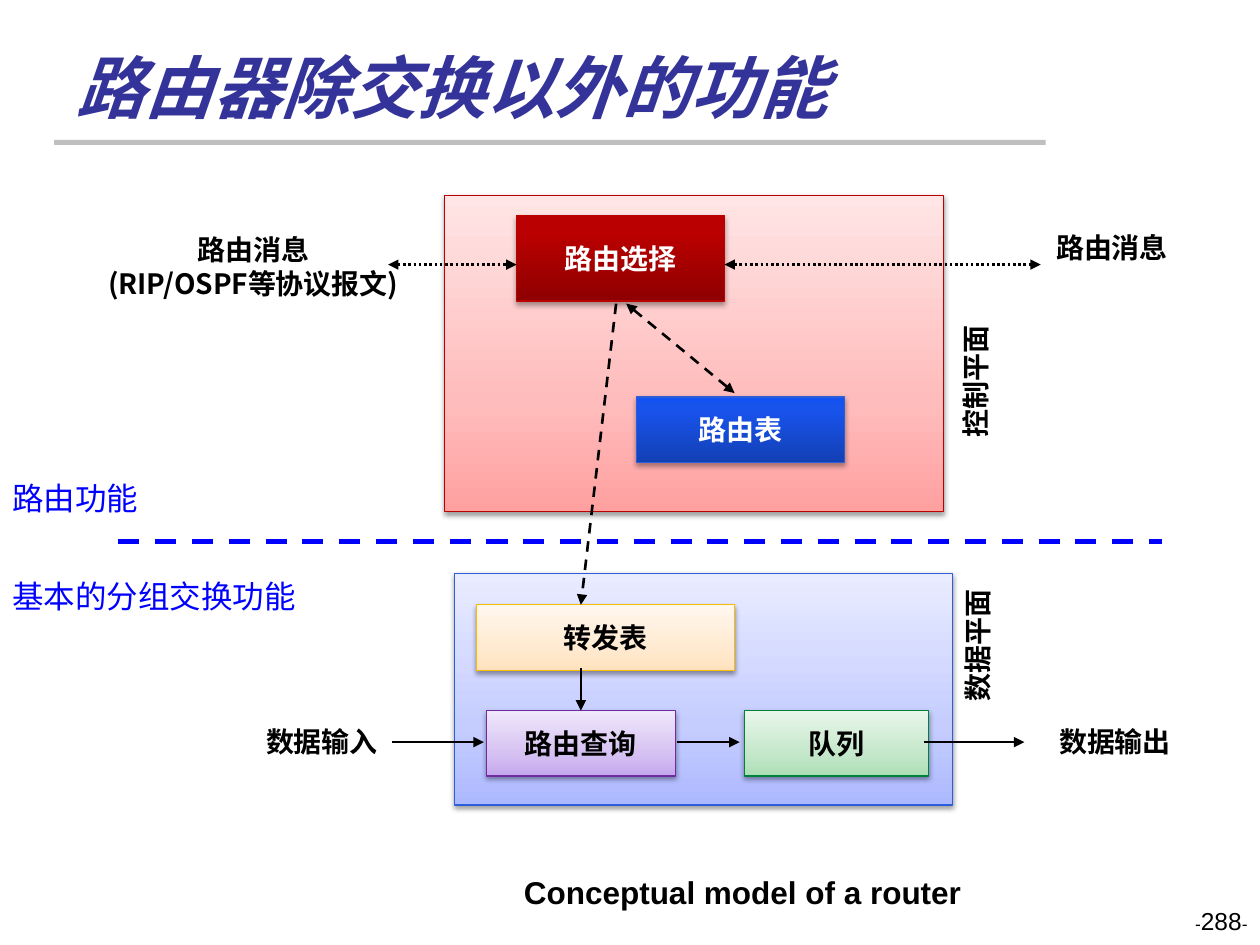
from dataclasses import dataclass

from pptx import Presentation
from pptx.dml.color import RGBColor
from pptx.enum.dml import MSO_LINE
from pptx.enum.shapes import MSO_CONNECTOR, MSO_SHAPE
from pptx.enum.text import MSO_ANCHOR, PP_ALIGN
from pptx.oxml import parse_xml
from pptx.oxml.ns import nsdecls
from pptx.oxml.xmlchemy import OxmlElement
from pptx.util import Inches, Pt

COLUMNS, ROWS = 100, 75
CELL = Inches(10) / COLUMNS
CJK_FONT = "Noto Sans CJK SC"

BLACK = RGBColor(0x00, 0x00, 0x00)
WHITE = RGBColor(0xFF, 0xFF, 0xFF)
GRAY = RGBColor(0xBF, 0xBF, 0xBF)
NAVY = RGBColor(0x33, 0x33, 0x99)
BLUE = RGBColor(0x00, 0x00, 0xFF)
RED_LINE = RGBColor(0xBC, 0x00, 0x00)
BLUE_LINE = RGBColor(0x2D, 0x5D, 0xD9)
GREEN_LINE = RGBColor(0x00, 0x81, 0x3B)
PURPLE_LINE = RGBColor(0x6E, 0x2C, 0x9F)
GOLD_LINE = RGBColor(0xF9, 0xBC, 0x00)


def shades(*codes):
    return [RGBColor.from_string(code) for code in codes]


PINK = shades("FFA0A0", "FFBCBC", "FFE5E5")
LAVENDER = shades("ADB9FF", "C5CDFF", "E9ECFF")
GREEN = shades("ACDFB4", "C5E7CB", "E9F7EB")
PURPLE = shades("C5A6EE", "D6C2F2", "EFE7FB")
ORANGE = shades("FFE2BD", "FFEAD1", "FFF7EE")
DARK_RED = shades("8F0000", "BA0000", "BB0000")
DARK_BLUE = shades("1340B5", "1853EC", "1452F1")


@dataclass
class Box:
    left: float
    top: float
    width: float
    height: float

    def inside(self, column, row, width, height):
        return Box(self.left + column, self.top + row, width, height)

    def point(self, column, row):
        return self.left + column, self.top + row

    def lengths(self):
        return [grid(side) for side in (self.left, self.top, self.width, self.height)]


def grid(cells):
    return round(cells * CELL)


def style_span(span, size, color, bold=False, font=CJK_FONT):
    span.font.size = Pt(size)
    span.font.bold = bold
    span.font.name = font
    span.font.color.rgb = color
    if font != "Arial":
        east_asian = OxmlElement("a:ea")
        east_asian.set("typeface", CJK_FONT)
        span.font._element.find("{*}latin").addnext(east_asian)


def add_label(page, box, lines, size=16, color=BLACK, bold=True,
              align=PP_ALIGN.CENTER, font=CJK_FONT, wrap=False):
    label = page.shapes.add_textbox(*box.lengths())
    frame = label.text_frame
    frame.word_wrap = wrap
    frame.text = lines
    for para in frame.paragraphs:
        para.alignment = align
        for span in para.runs:
            style_span(span, size, color, bold, font)
    return label


def add_block(page, box, colors, outline, text="", text_color=BLACK):
    block = page.shapes.add_shape(MSO_SHAPE.RECTANGLE, *box.lengths())
    strong = text_color == WHITE
    block.fill.gradient()
    block.line.color.rgb = outline
    block.line.width = Pt(0.75)
    places = (0, 80, 100) if strong else (0, 35, 100)
    stops = "".join(
        f'<a:gs pos="{place * 1000}"><a:srgbClr val="{color}"/></a:gs>'
        for place, color in zip(places, colors))
    properties = block._element.spPr
    gradient = properties.find("{*}gradFill")
    properties.replace(gradient, parse_xml(
        f'<a:gradFill {nsdecls("a")} rotWithShape="1"><a:gsLst>{stops}</a:gsLst>'
        '<a:lin ang="16200000" scaled="0"/></a:gradFill>'))
    distance, alpha = (1.8, 35) if strong else (1.6, 38)
    properties.append(parse_xml(
        f'<a:effectLst {nsdecls("a")}><a:outerShdw blurRad="{Pt(3.1)}" '
        f'dist="{Pt(distance)}" dir="5400000" rotWithShape="0"><a:srgbClr val="000000">'
        f'<a:alpha val="{alpha * 1000}"/></a:srgbClr></a:outerShdw></a:effectLst>'))
    if text:
        frame = block.text_frame
        frame.word_wrap = False
        frame.vertical_anchor = MSO_ANCHOR.MIDDLE
        frame.text = text
        frame.paragraphs[0].alignment = PP_ALIGN.CENTER
        style_span(frame.paragraphs[0].runs[0], 16, text_color, True)
    return block


def add_line(page, start, end, color=BLACK, width=1.5, dash=None, arrows=("tailEnd",)):
    line = page.shapes.add_connector(
        MSO_CONNECTOR.STRAIGHT, *(grid(cells) for cells in (*start, *end)))
    line.line.color.rgb = color
    line.line.width = Pt(width)
    if dash:
        line.line.dash_style = dash
    for arrow in arrows:
        tip = OxmlElement(f"a:{arrow}")
        tip.set("type", "triangle")
        line.line._ln.append(tip)
    line._element.spPr.append(OxmlElement("a:effectLst"))


def add_heading(page, box):
    rule = page.shapes.add_shape(
        MSO_SHAPE.RECTANGLE, *box.inside(-0.8, 8.3, 78.7, 0.4).lengths())
    rule.shadow.inherit = False
    rule.fill.solid()
    rule.fill.fore_color.rgb = GRAY
    rule.line.fill.background()
    title = add_label(page, box, "路由器除交换以外的功能", 39, NAVY,
                      align=PP_ALIGN.LEFT, font="Calibri", wrap=True)
    title.text_frame.vertical_anchor = MSO_ANCHOR.BOTTOM
    title.text_frame.paragraphs[0].runs[0].font.italic = True


def add_divider(page, box):
    add_line(page, box.point(9.4, 5.5), box.point(92.2, 5.5), BLUE, 3, MSO_LINE.DASH, ())
    for row, width, text in ((0, 12.8, "路由功能"), (7.8, 24.7, "基本的分组交换功能")):
        add_label(page, box.inside(0, row, width, 4), text, 18, BLUE, False, PP_ALIGN.LEFT)


def add_control_plane(page, box):
    add_block(page, box, PINK, RED_LINE)
    add_block(page, box.inside(5.7, 1.6, 16.5, 6.8), DARK_RED, RED_LINE, "路由选择", WHITE)
    add_block(page, box.inside(15.2, 16, 16.5, 5.2), DARK_BLUE, BLUE_LINE, "路由表", WHITE)
    both = ("headEnd", "tailEnd")
    for start, end in ((-4.5, 5.7), (22.2, 47.3)):
        add_line(page, box.point(start, 5.5), box.point(end, 5.5),
                 dash=MSO_LINE.ROUND_DOT, arrows=both)
    add_line(page, box.point(14.4, 8.6), box.point(23, 15.7), dash=MSO_LINE.DASH, arrows=both)
    add_label(page, box.inside(-27.7, 2.5, 25, 6.4), "路由消息\n(RIP/OSPF等协议报文)", wrap=True)
    add_label(page, box.inside(47.4, 2.3, 11.1, 3.7), "路由消息")
    add_label(page, box.inside(36.6, 12.9, 11.1, 3.7), "控制平面").rotation = 270


def add_data_plane(page, box):
    add_block(page, box, LAVENDER, BLUE_LINE)
    add_block(page, box.inside(1.7, 2.5, 20.5, 5.2), ORANGE, GOLD_LINE, "转发表")
    add_block(page, box.inside(2.5, 10.9, 15, 5.2), PURPLE, PURPLE_LINE, "路由查询")
    add_block(page, box.inside(23, 10.9, 14.6, 5.2), GREEN, GREEN_LINE, "队列")
    for start, end in ((-5, 2.3), (17.6, 22.6), (37.2, 45.2)):
        add_line(page, box.point(start, 13.4), box.point(end, 13.4))
    add_line(page, box.point(10, 7.5), box.point(10, 10.9), width=1)
    add_label(page, box.inside(-16.1, 11.5, 11.1, 3.7), "数据输入")
    add_label(page, box.inside(45.7, 11.5, 13.4, 3.7), "数据输出")
    add_label(page, box.inside(35.9, 3.9, 11.1, 3.7), "数据平面").rotation = 270


def add_footer(page, box):
    add_label(page, box.inside(40.6, 0, 37.8, 4), "Conceptual model of a router",
              18, align=PP_ALIGN.LEFT, font="Arial")
    number = page.shapes.add_textbox(*box.inside(76.7, 2.6, 23.3, 5).lengths())
    number.text_frame.word_wrap = True
    para = number.text_frame.paragraphs[0]
    para.alignment = PP_ALIGN.RIGHT
    for text, size in (("-", 10), ("288", 14), ("-", 10)):
        span = para.add_run()
        span.text = text
        style_span(span, size, BLACK, font="Arial")


def main():
    deck = Presentation()
    deck.slide_width = grid(COLUMNS)
    deck.slide_height = grid(ROWS)
    page = deck.slides.add_slide(deck.slide_layouts[6])
    add_heading(page, Box(5.1, 2.8, 82.5, 7.8))
    add_divider(page, Box(0, 37.5, COLUMNS, 11.8))
    add_control_plane(page, Box(35.3, 15.5, 39.6, 25.1))
    add_data_plane(page, Box(36.1, 45.5, 39.5, 18.4))
    add_line(page, (48.9, 24.1), (46.1, 48), dash=MSO_LINE.DASH)
    add_footer(page, Box(0, 68.8, COLUMNS, 6.2))
    deck.save("out.pptx")


if __name__ == "__main__":
    main()
